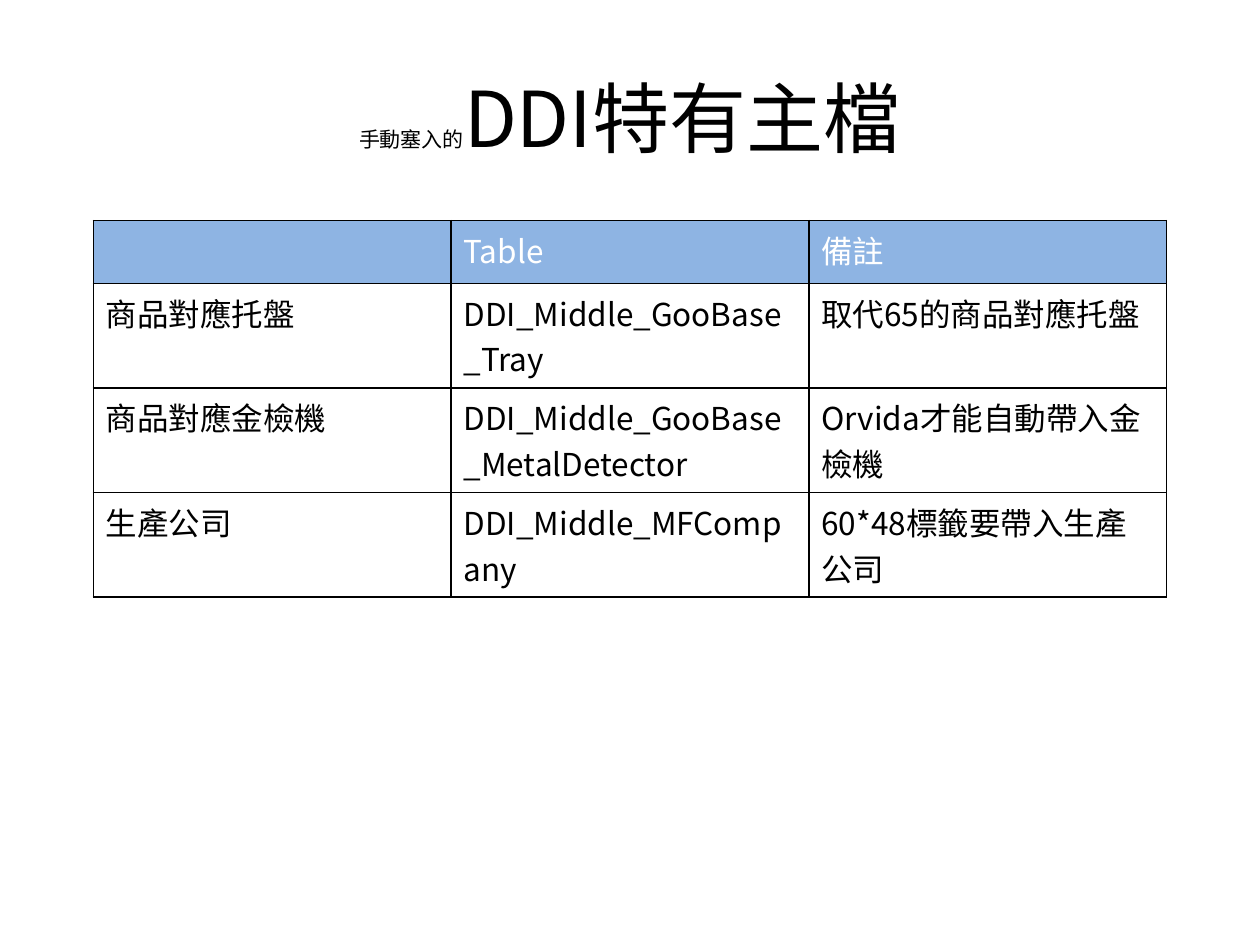
from lxml import etree
from pptx import Presentation
from pptx.dml.color import RGBColor
from pptx.enum import text
from pptx.oxml import ns
from pptx.util import Inches, Pt

FONT = "Noto Sans CJK SC"
BLACK = RGBColor(0x00, 0x00, 0x00)
WHITE = RGBColor(0xFF, 0xFF, 0xFF)
HEADER_BLUE = RGBColor(0x8E, 0xB4, 0xE3)
HEADER_HEIGHT = Inches(0.5)
BODY_HEIGHT = Inches(0.83)

TITLE = [("手動塞入的", 12), ("DDI特有主檔", 44)]
ROWS = [
    ("", "Table", "備註"),
    ("商品對應托盤", "DDI_Middle_GooBase_Tray", "取代65的商品對應托盤"),
    ("商品對應金檢機", "DDI_Middle_GooBase_MetalDetector", "Orvida才能自動帶入金檢機"),
    ("生產公司", "DDI_Middle_MFCompany", "60*48標籤要帶入生產公司"),
]


def set_font(font, size, color):
    font.size = Pt(size)
    font.name = FONT
    font.color.rgb = color
    etree.SubElement(font._element, ns.qn("a:ea"), typeface=FONT)


def set_borders(cell, color, width):
    tcPr = cell._tc.get_or_add_tcPr()
    for side in ("lnL", "lnR", "lnT", "lnB"):
        ln = etree.SubElement(tcPr, ns.qn(f"a:{side}"), w=str(Pt(width)))
        fill = etree.SubElement(ln, ns.qn("a:solidFill"))
        etree.SubElement(fill, ns.qn("a:srgbClr"), val=str(color))


def add_title(s, runs):
    sp = s.shapes.add_textbox(Inches(0.5), Inches(0.3), Inches(9), Inches(1.25))
    tf = sp.text_frame
    tf.word_wrap = True
    tf.vertical_anchor = text.MSO_ANCHOR.MIDDLE
    p = tf.paragraphs[0]
    p.alignment = text.PP_ALIGN.CENTER
    for words, size in runs:
        r = p.add_run()
        r.text = words
        set_font(r.font, size, BLACK)


def fill_cell(cell, words, is_header):
    set_borders(cell, BLACK, 1)
    if is_header:
        cell.fill.solid()
        cell.fill.fore_color.rgb = HEADER_BLUE
    else:
        cell.fill.background()
    p = cell.text_frame.paragraphs[0]
    if words:
        p.text = words
    set_font(p.font, 18, WHITE if is_header else BLACK)


def add_grid(s, rows):
    height = HEADER_HEIGHT + BODY_HEIGHT * (len(rows) - 1)
    table = s.shapes.add_table(
        len(rows), len(rows[0]), Inches(0.74), Inches(1.75), Inches(8.52), height
    ).table
    table.first_row = False
    table.horz_banding = False
    for i, row in enumerate(rows):
        table.rows[i].height = BODY_HEIGHT if i else HEADER_HEIGHT
        for j, words in enumerate(row):
            fill_cell(table.cell(i, j), words, i == 0)


def main():
    prs = Presentation()
    prs.slide_width = Inches(10)
    prs.slide_height = Inches(7.5)
    s = prs.slides.add_slide(prs.slide_layouts[6])
    add_title(s, TITLE)
    add_grid(s, ROWS)
    prs.save("out.pptx")


main()
